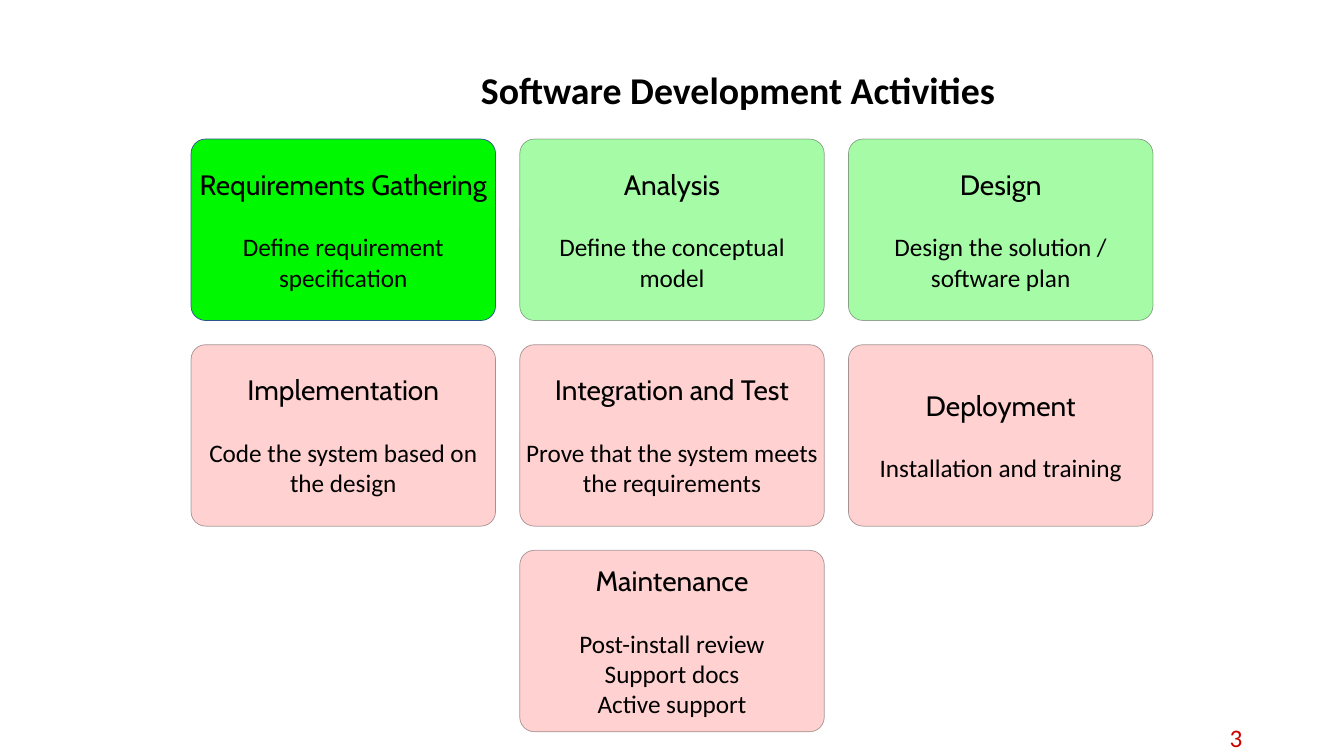
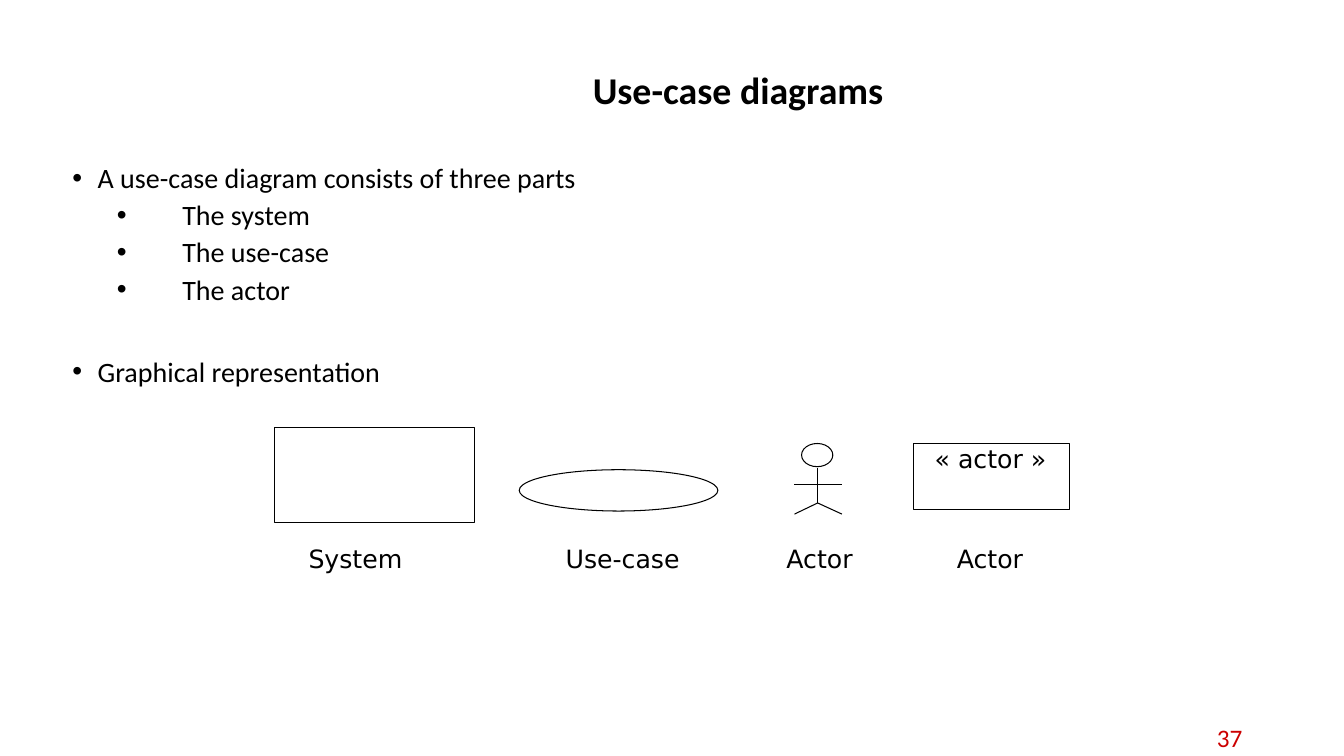
from lxml import etree
from pptx import Presentation, util as u
from pptx.dml.color import RGBColor
from pptx.enum import shapes, text
from pptx.oxml.ns import qn

WIDTH, HEIGHT = 13.33, 7.5
BLACK = RGBColor(0x00, 0x00, 0x00)
RED = RGBColor(0xCC, 0x00, 0x00)
GREEN = RGBColor(0x00, 0xF9, 0x00)
CORAL = RGBColor(0xFF, 0x7E, 0x79)
BLUE = RGBColor(0x2F, 0x52, 0x8F)
BODY, HEADING, DIAGRAM = "Calibri", "Cabin", "DejaVu Sans"
CENTER, RIGHT = text.PP_ALIGN.CENTER, text.PP_ALIGN.RIGHT
KIND = shapes.MSO_SHAPE

# Activity cards: rows of (heading, details, colour, highlighted)
ACTIVITIES = [
    [("Requirements Gathering", ["Define requirement specification"], GREEN, True),
     ("Analysis", ["Define the conceptual model"], GREEN, False),
     ("Design", ["Design the solution / software plan"], GREEN, False)],
    [("Implementation", ["Code the system based on the design"], CORAL, False),
     ("Integration and Test", ["Prove that the system meets the requirements"], CORAL, False),
     ("Deployment", ["Installation and training"], CORAL, False)],
    [("Maintenance", ["Post-install review", "Support docs", "Active support"], CORAL, False)],
]
CARD_WIDTH, CARD_HEIGHT, CARD_GAP, CARDS_TOP = 3.02, 1.8, 0.24, 1.38
OPACITY = 35

# Bullets: (text, level, space before in points)
BULLETS = [
    ("A use-case diagram consists of three parts", 0, 0),
    ("The system", 1, 5),
    ("The use-case", 1, 5),
    ("The actor", 1, 5),
    ("Graphical representation", 0, 37),
]
INDENTS = [(0.25, -0.25), (1.09, -0.65)]  # left margin, first line

SYMBOLS = [
    (KIND.RECTANGLE, (2.72, 4.24, 1.99, 0.94)),
    (KIND.OVAL, (5.15, 4.66, 1.97, 0.41)),
    (KIND.OVAL, (7.95, 4.4, 0.31, 0.23)),
    (KIND.RECTANGLE, (9.06, 4.4, 1.55, 0.66)),
]
NECK, HIP = (8.11, 4.64), (8.11, 4.99)
LIMBS = [(NECK, HIP), (HIP, (7.88, 5.1)), (HIP, (8.35, 5.1)), ((7.88, 4.81), (8.35, 4.81))]
LABEL_TOP, LABEL_HEIGHT = 5.34, 0.4
LABELS = [  # text, left, top, width
    ("System", 3.01, LABEL_TOP, 1.05),
    ("Use-case", 5.56, LABEL_TOP, 1.25),
    ("Actor", 7.75, LABEL_TOP, 0.76),
    ("Actor", 9.44, LABEL_TOP, 0.76),
    ("« actor »", 9.22, 4.35, 1.25),
]


def inches(values):
    return [u.Inches(value) for value in values]


def add_line(frame, words, size, font=BODY, color=BLACK, bold=False, align=None, before=0):
    """Fill the frame's empty first paragraph, or append a new one."""
    paragraph = frame.paragraphs[0]
    if paragraph.runs:
        paragraph = frame.add_paragraph()
    paragraph.alignment = align
    if before:
        paragraph.space_before = u.Pt(before)
    run = paragraph.add_run()
    run.text = words
    run.font.size, run.font.name, run.font.bold = u.Pt(size), font, bold
    run.font.color.rgb = color
    return paragraph


def set_margins(frame, margin):
    frame.margin_left = frame.margin_right = u.Inches(margin)
    frame.margin_top = frame.margin_bottom = u.Inches(margin)


def add_text_box(slide, area, anchor=text.MSO_ANCHOR.TOP, wrap=True):
    frame = slide.shapes.add_textbox(*inches(area)).text_frame
    frame.word_wrap = wrap
    frame.vertical_anchor = anchor
    return frame


def add_outlined_shape(slide, kind, area, line_color=BLACK, line_width=0.75):
    shape = slide.shapes.add_shape(kind, *inches(area))
    shape.shadow.inherit = False
    shape.fill.background()
    shape.line.color.rgb = line_color
    shape.line.width = u.Pt(line_width)
    return shape


def make_translucent(shape):
    for color in shape._element.spPr.iter(qn("a:srgbClr")):
        etree.SubElement(color, qn("a:alpha"), val=str(OPACITY * 1000))


def new_slide(presentation, title, number):
    slide = presentation.slides.add_slide(presentation.slide_layouts[6])
    middle = text.MSO_ANCHOR.MIDDLE
    frame = add_text_box(slide, (2.23, 0.4, 10.18, 1.02), middle)
    add_line(frame, title, 27, bold=True, align=CENTER).line_spacing = 0.9
    frame = add_text_box(slide, (9.42, 7.14, 3, 0.36), middle)
    add_line(frame, str(number), 18, color=RED, align=RIGHT)
    return slide


def add_card(slide, area, heading, details, color, highlighted):
    card = add_outlined_shape(slide, KIND.ROUNDED_RECTANGLE, area,
                              BLUE if highlighted else BLACK, 0.5)
    card.adjustments[0] = 0.08
    card.fill.solid()
    card.fill.fore_color.rgb = color
    if not highlighted:
        make_translucent(card)
    frame = card.text_frame
    frame.word_wrap = True
    frame.vertical_anchor = text.MSO_ANCHOR.MIDDLE
    set_margins(frame, 0)
    add_line(frame, heading, 20, HEADING, align=CENTER)
    for index, detail in enumerate(details):
        add_line(frame, detail, 18, align=CENTER, before=0 if index else 22)


def add_activities(slide):
    for row, cards in enumerate(ACTIVITIES):
        row_width = len(cards) * (CARD_WIDTH + CARD_GAP) - CARD_GAP
        for column, card in enumerate(cards):
            left = (WIDTH - row_width) / 2 + column * (CARD_WIDTH + CARD_GAP)
            top = CARDS_TOP + row * (CARD_HEIGHT + CARD_GAP)
            add_card(slide, (left, top, CARD_WIDTH, CARD_HEIGHT), *card)


def add_bullets(slide):
    frame = add_text_box(slide, (0.62, 1.58, 11.8, 5.17))
    for words, level, before in BULLETS:
        paragraph = add_line(frame, words, 20, before=before)
        paragraph.level = level
        margin, indent = inches(INDENTS[level])
        properties = paragraph._p.get_or_add_pPr()
        properties.set("marL", str(margin))
        properties.set("indent", str(indent))
        etree.SubElement(properties, qn("a:buFont"), typeface="Arial")
        etree.SubElement(properties, qn("a:buChar"), char="•")
        paragraph.line_spacing = 0.9


def add_notation(slide):
    for kind, area in SYMBOLS:
        add_outlined_shape(slide, kind, area)
    for start, end in LIMBS:
        limb = slide.shapes.add_connector(shapes.MSO_CONNECTOR.STRAIGHT, *inches(start + end))
        limb.line.color.rgb = BLACK
        limb.line.width = u.Pt(0.75)
        etree.SubElement(limb._element.spPr, qn("a:effectLst"))
    for words, left, top, width in LABELS:
        frame = add_text_box(slide, (left, top, width, LABEL_HEIGHT), wrap=False)
        set_margins(frame, 0.05)
        add_line(frame, words, 18, DIAGRAM)


def main():
    presentation = Presentation()
    presentation.slide_width, presentation.slide_height = inches((WIDTH, HEIGHT))
    add_activities(new_slide(presentation, "Software Development Activities", 3))
    slide = new_slide(presentation, "Use-case diagrams", 37)
    add_bullets(slide)
    add_notation(slide)
    presentation.save("out.pptx")


if __name__ == "__main__":
    main()
